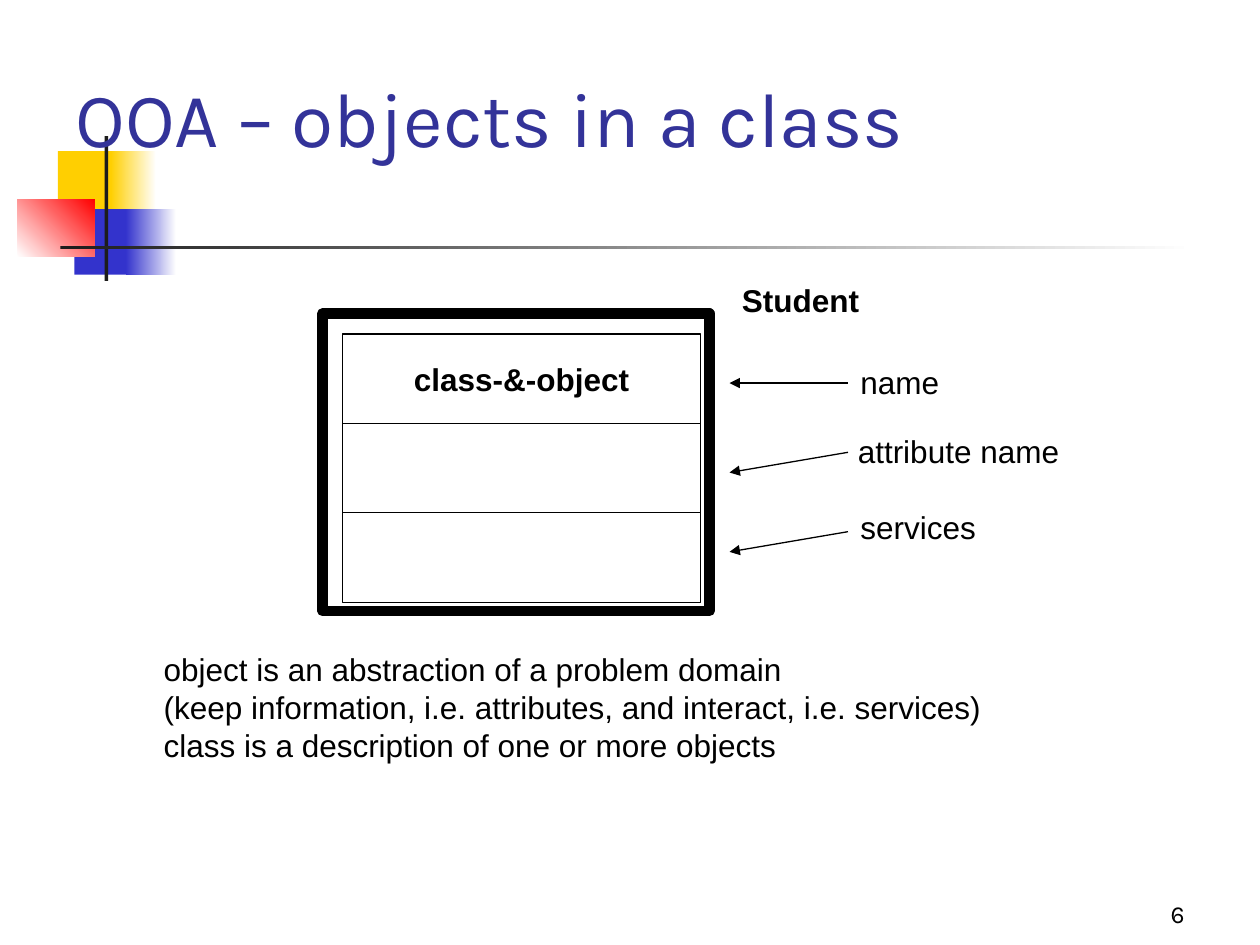
from pptx import Presentation
from pptx.dml.color import RGBColor
from pptx.enum.shapes import MSO_CONNECTOR, MSO_SHAPE
from pptx.enum.text import MSO_ANCHOR, MSO_AUTO_SIZE, PP_ALIGN
from pptx.oxml.ns import qn
from pptx.util import Inches, Pt
from lxml import etree

RECTANGLE = MSO_SHAPE.RECTANGLE
STRAIGHT = MSO_CONNECTOR.STRAIGHT
LEFT, CENTER, RIGHT = PP_ALIGN.LEFT, PP_ALIGN.CENTER, PP_ALIGN.RIGHT
TOP, MIDDLE, BOTTOM = MSO_ANCHOR.TOP, MSO_ANCHOR.MIDDLE, MSO_ANCHOR.BOTTOM
FIT_SHAPE, NO_FIT = MSO_AUTO_SIZE.SHAPE_TO_FIT_TEXT, MSO_AUTO_SIZE.NONE

THEME = {
    "title_font": "Karla", "body_font": "Arial",
    "title_size": 44, "body_size": 18, "number_size": 14,
    "title": "333399", "ink": "000000", "bar": "1C1C1C", "paper": "FFFFFF",
    "yellow": "FFCF01", "blue": "3333CC", "red": "FF0000",
}


def write(box, text, font="body_font", size="body_size", color="ink", bold=False,
          align=LEFT, anchor=TOP, wrap=False, fit=NO_FIT):
    frame = box.text_frame
    frame.text = text
    frame.word_wrap = wrap
    frame.auto_size = fit
    frame.vertical_anchor = anchor
    for para in frame.paragraphs:
        para.alignment = align
        for span in para.runs:
            span.font.name = THEME[font]
            span.font.size = Pt(THEME[size])
            span.font.bold = bold
            span.font.color.rgb = RGBColor.from_string(THEME[color])


def add_box(page, place, colors=(), angle=0, line_width=None):
    box = page.shapes.add_shape(RECTANGLE, *map(Inches, place))
    box.shadow.inherit = False
    if len(colors) == 2:
        box.fill.gradient()
        box.fill.gradient_angle = angle
        for stop, color in zip(box.fill.gradient_stops, colors):
            stop.color.rgb = RGBColor.from_string(THEME[color])
    elif colors:
        box.fill.solid()
        box.fill.fore_color.rgb = RGBColor.from_string(THEME[colors[0]])
    else:
        box.fill.background()
    if line_width:
        box.line.width = Pt(line_width)
        box.line.color.rgb = RGBColor.from_string(THEME["ink"])
    else:
        box.line.fill.background()
    return box


deck = Presentation()
deck.slide_width, deck.slide_height = Inches(10), Inches(7.5)
page = deck.slides.add_slide(deck.slide_layouts[5])

decorations = [
    ((0.46, 1.2, 0.48, 0.52), ["yellow"], 0),
    ((0.88, 1.2, 0.36, 0.52), ["yellow", "paper"], 0),
    ((0.59, 1.66, 0.46, 0.52), ["blue"], 0),
    ((1, 1.66, 0.4, 0.52), ["blue", "paper"], 0),
    ((0.14, 1.58, 0.61, 0.46), ["paper", "red"], 45),
    ((0.83, 1.08, 0.03, 1.15), ["bar"], 0),
    ((0.48, 1.95, 9, 0.03), ["bar", "paper"], 0),
]
for place, colors, angle in decorations:
    add_box(page, place, colors, angle)

title = page.shapes.title
title.left, title.top, title.width, title.height = map(Inches, (0.5, 0.3, 9, 1.25))
write(title, "OOA – objects in a class", font="title_font", size="title_size",
      color="title", anchor=MIDDLE, wrap=True)
page.shapes._spTree.append(title._element)

number = page.shapes.add_textbox(*map(Inches, (7.42, 6.92, 2.08, 0.5)))
write(number, "6", font="title_font", size="number_size", align=RIGHT,
      anchor=BOTTOM, wrap=True)

add_box(page, (2.56, 2.49, 3.07, 2.36), line_width=6)
row_height = 0.71
for row, heading in enumerate(["class-&-object", "", ""]):
    cell = add_box(page, (2.72, 2.65 + row * row_height, 2.84, row_height), line_width=0.75)
    if heading:
        write(cell, heading, bold=True, align=CENTER, anchor=MIDDLE)

explanation = "\n".join([
    "object is an abstraction of a problem domain",
    "(keep information, i.e. attributes, and interact, i.e. services)",
    "class is a description of one or more objects",
])
labels = [
    ("Student", (5.79, 2.18, 1.13, 0.4), True),
    ("name", (6.73, 2.83, 0.83, 0.4), False),
    ("attribute name", (6.71, 3.38, 1.8, 0.4), False),
    ("services", (6.73, 3.98, 1.12, 0.4), False),
    (explanation, (1.2, 5.11, 6.69, 1), False),
]
for text, place, bold in labels:
    label = page.shapes.add_textbox(*map(Inches, place))
    write(label, text, bold=bold, fit=FIT_SHAPE)

for start, end in [(3.04, 3.04), (3.59, 3.75), (4.22, 4.38)]:
    arrow = page.shapes.add_connector(STRAIGHT, *map(Inches, (6.73, start, 5.79, end)))
    arrow.line.width = Pt(0.75)
    arrow.line.color.rgb = RGBColor.from_string(THEME["ink"])
    etree.SubElement(arrow.line._ln, qn("a:tailEnd"), type="triangle")
    etree.SubElement(arrow._element.spPr, qn("a:effectLst"))

deck.save("out.pptx")
